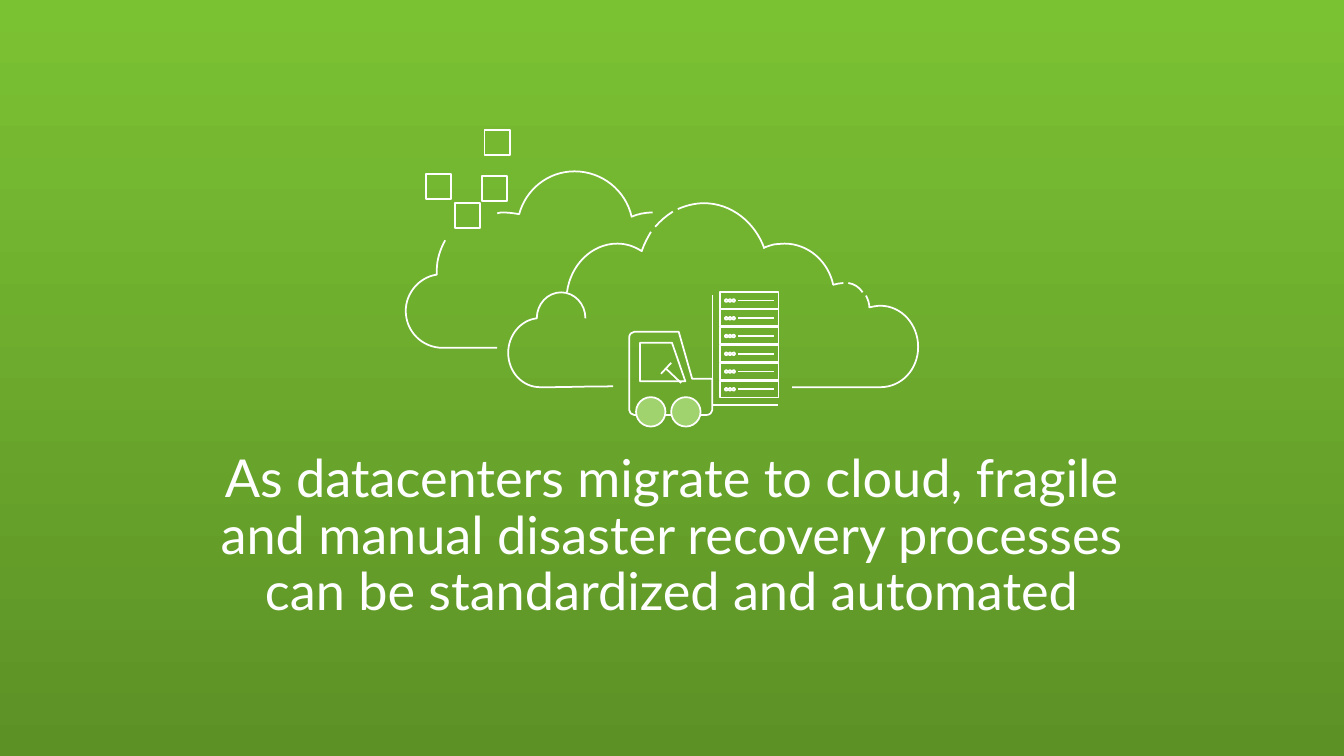
"""Build a slide with a statement under a drawing of a datacenter moving to the cloud."""
from lxml import etree
from pptx import Presentation
from pptx.dml.color import RGBColor
from pptx.enum.shapes import MSO_CONNECTOR, MSO_SHAPE
from pptx.enum.text import MSO_ANCHOR, MSO_AUTO_SIZE, PP_ALIGN
from pptx.oxml.ns import qn
from pptx.util import Pt

RECTANGLE, OVAL = MSO_SHAPE.RECTANGLE, MSO_SHAPE.OVAL
STRAIGHT = MSO_CONNECTOR.STRAIGHT
CENTER, TOP = PP_ALIGN.CENTER, MSO_ANCHOR.TOP
NO_AUTOFIT = MSO_AUTO_SIZE.NONE

COLORS = {"top": "7BC233", "bottom": "5C9126", "white": "FFFFFF", "wheel": "A0D26D"}
FONT = "Lato"
STATEMENT = ("As datacenters migrate to cloud, fragile and manual disaster "
             "recovery processes can be standardized and automated")
STATEMENT_BOX = (144, 384.5, 863.3, 154.1)

# Each outline is a start point, then lines (2 numbers) and Bézier curves (6 numbers).
BACK_CLOUD = [
    [(426.2, 182.9), (427.7, 182.2, 429.8, 182.2, 432, 182.2),
     (436.3, 182.2, 440.6, 182.9, 445, 183.6), (450.7, 162.7, 469.4, 146.9, 492.5, 146.9),
     (516.2, 146.9, 536.4, 163.4, 541.4, 185.8), (546.5, 183.6, 552.2, 182.2, 559.4, 182.2)],
    [(381.6, 205.9), (377.3, 213.8, 374.4, 222.5, 374.4, 231.8),
     (374.4, 233.3, 374.4, 234.7, 374.4, 235.4),
     (359.3, 237.6, 347.8, 251.3, 347.8, 266.4), (347.8, 284.4, 362.2, 298.1, 379.4, 298.1),
     (426.2, 298.1)],
]
FRONT_CLOUD = [
    [(501.8, 272.9), (501.8, 260.6, 492.5, 250.6, 481, 250.6),
     (469.4, 250.6, 460.1, 260.6, 460.1, 272.9), (460.1, 272.9),
     (446.4, 274.3, 435.6, 287.3, 435.6, 302.4),
     (435.6, 319, 447.8, 331.9, 463, 331.9), (491.8, 331.9, 496.8, 331.2, 525.6, 331.2)],
    [(558, 198.7), (555.1, 203.8, 552.2, 208.8, 550.1, 215.3),
     (543.6, 211, 536.4, 208.8, 529.2, 208.8), (506.9, 208.8, 488.9, 227.5, 486, 250.6)],
    [(576.7, 181.4), (571, 185, 565.9, 189.4, 561.6, 194.4)],
    [(655.2, 213.1), (647.3, 190.8, 627.1, 174.2, 603.4, 174.2),
     (595.4, 174.2, 587.5, 176.4, 581, 179.3)],
    [(722.9, 242.6), (720, 242.6, 717.1, 243.4, 714.2, 244.1),
     (709.9, 223.9, 692.6, 208.8, 672.5, 208.8), (662.4, 209.5, 664.6, 208.8, 654.5, 212.4)],
    [(739.4, 250.6), (736.6, 246.2, 732.2, 243.4, 727.2, 242.6)],
    [(742.3, 253.4), (743.8, 256.3, 745.2, 259.9, 745.2, 263.5),
     (748.1, 262.8, 751.7, 262.1, 754.6, 262.1), (772.6, 262.1, 787, 277.9, 787, 297.4),
     (787, 316.8, 772.6, 331.9, 754.6, 331.9), (679, 331.9)],
]
BLOCK_SIZE = 21.6
BLOCKS = [(415.4, 111.2), (412.9, 150.8), (390.2, 174.2), (365, 149)]
BLOCK_EDGE = [(437, 132.8), (437, 111.2)]

MAST = [(666.7, 347), (610.6, 347), (610.6, 252.7)]
STEERING = [(566.6, 320.4, 575.3, 311), (571, 316.1, 583.9, 328.3)]
TRUCK_BODY = [
    (543.6, 284.4), (581.8, 284.4), (593.3, 324.7), (610.6, 324.7), (610.6, 351.4),
    (610.6, 353.5, 608.4, 355.7, 605.5, 355.7), (543.6, 355.7),
    (541.4, 355.7, 539.3, 353.5, 539.3, 351.4), (539.3, 289.4),
    (539.3, 286.6, 541.4, 284.4, 543.6, 284.4)]
TRUCK_WINDOW = [(548.6, 293.8), (548.6, 326.9), (587.5, 326.9), (576, 293.8), (548.6, 293.8)]
WHEEL_SIZE, WHEEL_TOP, WHEEL_LEFTS = 25.2, 340.4, (545.2, 575.3)

SERVER_COUNT, SERVER_TOP, SERVER_PITCH = 6, 250.2, 15.22
SERVER_LEFT, SERVER_WIDTH, SERVER_HEIGHT = 617, 50.4, 14.4
SLOT_LEFT, SLOT_RIGHT, SLOT_DROP = 632.9, 663.8, 7.4
LIGHT_COUNT, LIGHT_LEFT, LIGHT_PITCH, LIGHT_SIZE = 3, 621.4, 3.2, 2.2


def color(name):
    return RGBColor.from_string(COLORS[name])


def outline(shape, fill=None):
    shape.shadow.inherit = False
    if fill:
        shape.fill.solid()
        shape.fill.fore_color.rgb = color(fill)
    else:
        shape.fill.background()
    shape.line.color.rgb = color("white")
    shape.line.width = Pt(1.5)


def add_preset(group, preset, left, top, width, height, fill=None):
    box = [Pt(value) for value in (left, top, width, height)]
    outline(group.shapes.add_shape(preset, *box), fill)


def add_line(group, *ends):
    line = group.shapes.add_connector(STRAIGHT, *[Pt(value) for value in ends])
    line.line.color.rgb = color("white")
    line.line.width = Pt(1.5)
    etree.SubElement(line._element.spPr, qn("a:effectLst"))


def segment_points(segment):
    return [(Pt(x), Pt(y)) for x, y in zip(segment[::2], segment[1::2])]


def bend(shape, segments):
    """Turn each run of three lines that stands for a curve into that curve."""
    lines = iter(list(shape._element.iter(qn("a:lnTo"))))
    for segment in segments:
        steps = [next(lines) for _ in segment[::2]]
        if len(steps) == 3:
            curve = etree.Element(qn("a:cubicBezTo"))
            steps[0].addprevious(curve)
            for step in steps:
                curve.append(step[0])
                step.getparent().remove(step)


def add_outline(group, contours, close=False):
    builder = group.shapes.build_freeform(*segment_points(contours[0][0])[0])
    for index, (start, *segments) in enumerate(contours):
        if index:
            builder.move_to(*segment_points(start)[0])
        points = [point for segment in segments for point in segment_points(segment)]
        builder.add_line_segments(points, close=close)
    shape = builder.convert_to_shape()
    bend(shape, [segment for contour in contours for segment in contour[1:]])
    outline(shape)


def add_statement(slide):
    title = slide.shapes.title
    title.left, title.top, title.width, title.height = [Pt(value) for value in STATEMENT_BOX]
    frame = title.text_frame
    frame.word_wrap = True
    frame.auto_size = NO_AUTOFIT
    frame.vertical_anchor = TOP
    frame.margin_left = frame.margin_right = Pt(14.4)
    frame.margin_top = frame.margin_bottom = Pt(3.6)
    paragraph = frame.paragraphs[0]
    paragraph.alignment = CENTER
    paragraph.line_spacing = 0.9
    paragraph.space_before = Pt(0)
    run = paragraph.add_run()
    run.text = STATEMENT
    run.font.name = FONT
    run.font.size = Pt(44.8)
    run.font.color.rgb = color("white")


def add_clouds(slide):
    clouds = slide.shapes.add_group_shape()
    for contour in BACK_CLOUD + [BLOCK_EDGE] + FRONT_CLOUD:
        add_outline(clouds, [contour])
    for left, top in BLOCKS:
        add_preset(clouds, RECTANGLE, left, top, BLOCK_SIZE, BLOCK_SIZE)


def add_forklift(slide):
    forklift = slide.shapes.add_group_shape()
    add_outline(forklift, [MAST])
    for ends in STEERING:
        add_line(forklift, *ends)
    add_outline(forklift, [TRUCK_BODY, TRUCK_WINDOW], close=True)
    for left in WHEEL_LEFTS:
        add_preset(forklift, OVAL, left, WHEEL_TOP, WHEEL_SIZE, WHEEL_SIZE, "wheel")
    for server in range(SERVER_COUNT):
        top = SERVER_TOP + server * SERVER_PITCH
        slot = top + SLOT_DROP
        add_preset(forklift, RECTANGLE, SERVER_LEFT, top, SERVER_WIDTH, SERVER_HEIGHT)
        add_line(forklift, SLOT_LEFT, slot, SLOT_RIGHT, slot)
        for light in range(LIGHT_COUNT):
            add_preset(forklift, OVAL, LIGHT_LEFT + light * LIGHT_PITCH,
                       slot - LIGHT_SIZE / 2, LIGHT_SIZE, LIGHT_SIZE)


def main():
    deck = Presentation()
    deck.slide_width, deck.slide_height = Pt(1152), Pt(648)
    slide = deck.slides.add_slide(deck.slide_layouts[5])
    backdrop = slide.background.fill
    backdrop.gradient()
    backdrop.gradient_angle = 270
    for stop, name, position in zip(backdrop.gradient_stops, ("top", "bottom"), (0, 1)):
        stop.color.rgb = color(name)
        stop.position = position
    add_statement(slide)
    add_clouds(slide)
    add_forklift(slide)
    deck.save("out.pptx")


if __name__ == "__main__":
    main()
